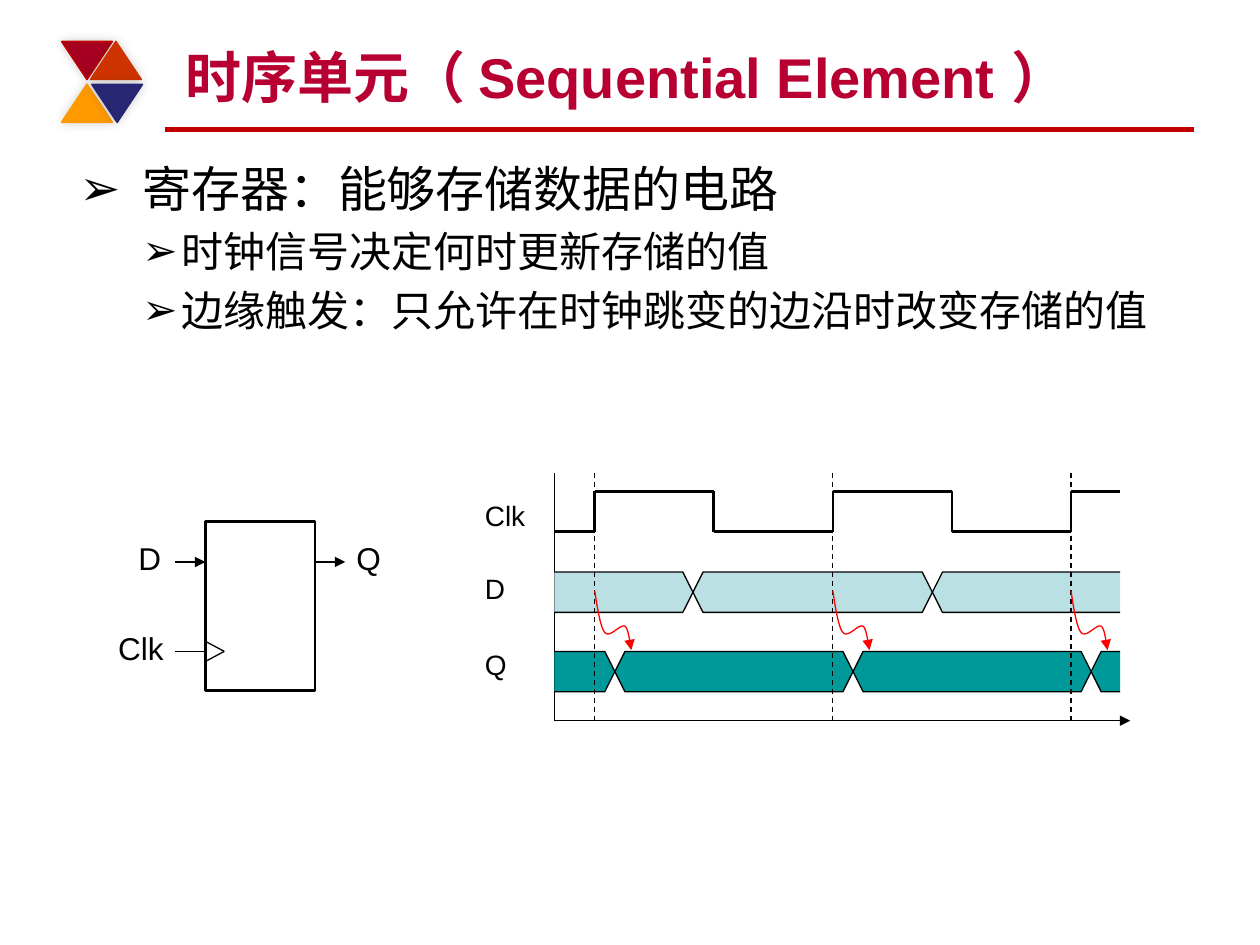
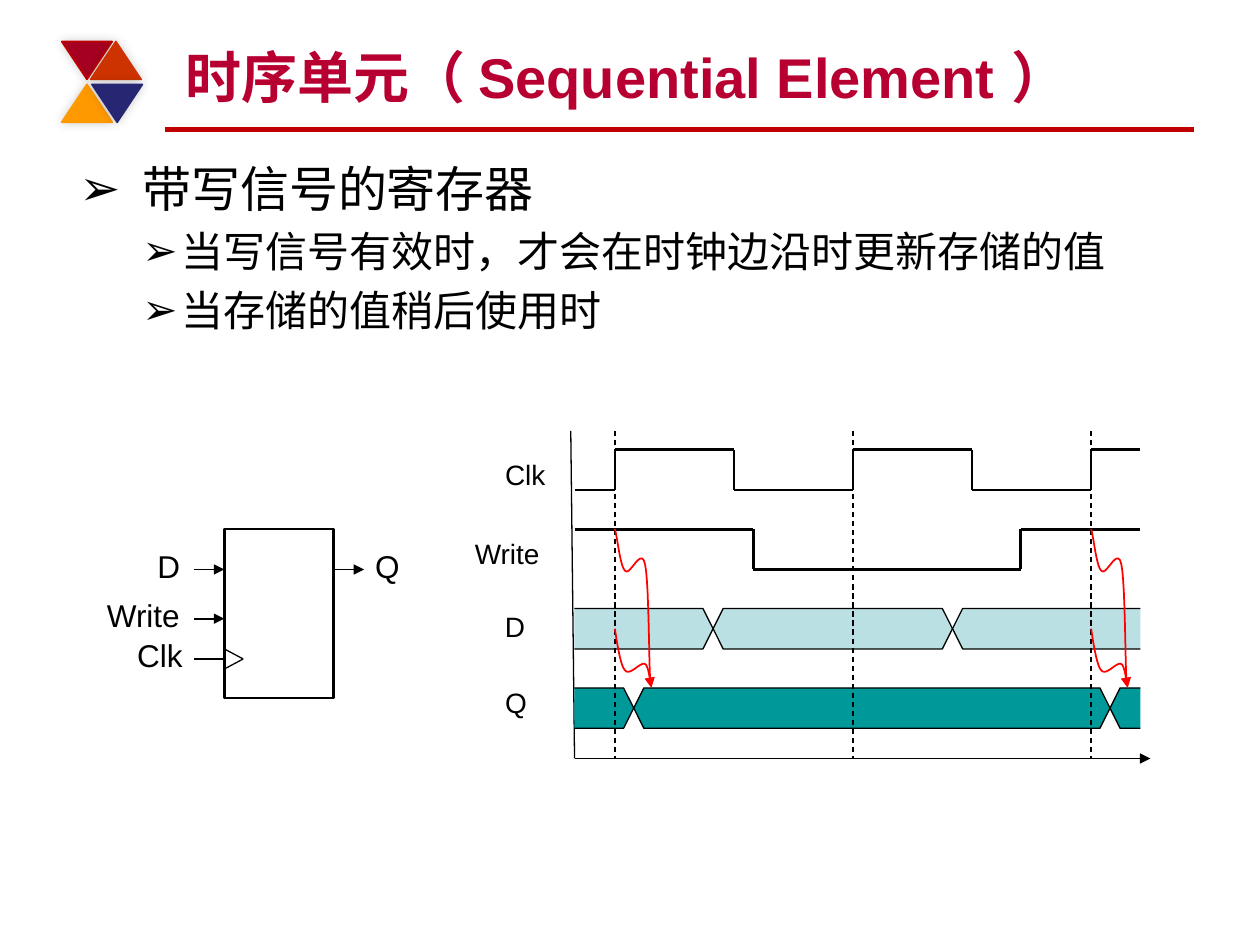
"""Builds two slides on registers, each with a block symbol and a timing diagram."""
from itertools import pairwise

from lxml import etree
from pptx import Presentation
from pptx.dml.color import RGBColor
from pptx.enum.dml import MSO_LINE
from pptx.enum.shapes import MSO_CONNECTOR, MSO_SHAPE
from pptx.enum.text import MSO_ANCHOR, PP_ALIGN
from pptx.oxml.ns import qn
from pptx.util import Emu, Inches, Pt

STRAIGHT = MSO_CONNECTOR.STRAIGHT
TRIANGLE, RECTANGLE = MSO_SHAPE.ISOSCELES_TRIANGLE, MSO_SHAPE.RECTANGLE
DASH = MSO_LINE.DASH
LEFT, BOTTOM = PP_ALIGN.LEFT, MSO_ANCHOR.BOTTOM

FONT = "Arial"
TITLE = "时序单元（ Sequential Element ）"
COLORS = {
    "ink": "000000", "title": "B70031", "rule": "C00000", "cause": "FF0000",
    "input": "BBE0E3", "output": "009999",
    "crimson": "A50021", "orange": "CC3300", "amber": "FF9900", "navy": "262673",
}
ORNAMENT = [
    (0.49, 0.33, 180, "crimson", "rule"),
    (0.72, 0.33, 0, "orange", "orange"),
    (0.49, 0.67, 0, "amber", "amber"),
    (0.73, 0.67, 180, "navy", "navy"),
]
HALF_PERIOD = 0.945
FIRST_EDGE = 0.32
SPAN = 4.49
LEVEL_HEIGHT = 0.32
SLANT = 0.08
SHORT_CAUSE = [(0, 0), (0.01, 0.06), (0.04, 0.29), (0.08, 0.33), (0.12, 0.38),
               (0.2, 0.26), (0.24, 0.28), (0.27, 0.3), (0.28, 0.43), (0.29, 0.47)]
LONG_CAUSE = [(0, 0), (0.02, 0.06), (0.04, 0.29), (0.08, 0.33), (0.12, 0.38),
              (0.21, 0.13), (0.24, 0.28), (0.27, 0.42), (0.27, 1.01), (0.28, 1.2)]
PIN_LABELS = {"D": (-0.63, 0.38), "Write": (-1.03, 0.78),
              "Clk": (-0.79, 0.56), "Q": (1.1, 0.4)}
SIGNAL_LABELS = {"Clk": (-0.65, 0.52), "Write": (-0.89, 0.72),
                 "D": (-0.65, 0.36), "Q": (-0.65, 0.38)}


def rgb(color):
    return RGBColor.from_string(COLORS[color])


def set_font(font, size, color="ink", bold=False):
    font.name, font.size, font.bold = FONT, Pt(size), bold
    font.color.rgb = rgb(color)


def set_outline(shape, color, width, arrow=False):
    shape.line.color.rgb = rgb(color)
    shape.line.width = Pt(width)
    if arrow:
        line = shape.line._get_or_add_ln()
        etree.SubElement(line, qn("a:tailEnd"), type="triangle")


def add_line(slide, start, end, width=0.75, color="ink", arrow=False, dashed=False):
    line = slide.shapes.add_connector(STRAIGHT, *map(Inches, (*start, *end)))
    if dashed:
        line.line.dash_style = DASH
    set_outline(line, color, width, arrow)
    etree.SubElement(line._element.spPr, qn("a:effectLst"))


def add_polyline(slide, points, width):
    for start, end in pairwise(points):
        add_line(slide, start, end, width)


def add_outline(slide, points, fill=None, close=False):
    corners = [(Inches(x), Inches(y)) for x, y in points]
    builder = slide.shapes.build_freeform(*corners[0], scale=1.0)
    builder.add_line_segments(corners[1:], close=close)
    outline = builder.convert_to_shape(Emu(0), Emu(0))
    outline.shadow.inherit = False
    if fill:
        outline.fill.solid()
        outline.fill.fore_color.rgb = rgb(fill)
    else:
        outline.fill.background()
    return outline


def add_label(slide, text, left, top, width, size):
    height = 0.4 if size == 18 else 0.37
    label = slide.shapes.add_textbox(*map(Inches, (left, top, width, height)))
    label.text_frame.word_wrap = False
    paragraph = label.text_frame.paragraphs[0]
    paragraph.text = text
    set_font(paragraph.font, size)


def add_ornament(slide):
    for left, top, rotation, fill, edge in ORNAMENT:
        triangle = slide.shapes.add_shape(
            TRIANGLE, *map(Inches, (left, top, 0.4, 0.3)))
        triangle.rotation = rotation
        triangle.fill.solid()
        triangle.fill.fore_color.rgb = rgb(fill)
        set_outline(triangle, edge, 1)
        triangle.shadow.inherit = False
        effects = triangle._element.spPr.find(qn("a:effectLst"))
        shadow = etree.SubElement(effects, qn("a:outerShdw"), blurRad="76200",
                                  dist="0", dir="18900000")
        shade = etree.SubElement(shadow, qn("a:srgbClr"), val=COLORS["ink"])
        etree.SubElement(shade, qn("a:alpha"), val="20000")


def place(placeholder, left, top, width, height):
    placeholder.left, placeholder.top = Inches(left), Inches(top)
    placeholder.width, placeholder.height = Inches(width), Inches(height)


def fill_body(body, lines):
    place(body, 0.53, 1.21, 8.95, 5.96)
    frame = body.text_frame
    for index, text in enumerate(lines):
        paragraph = frame.paragraphs[0] if index == 0 else frame.add_paragraph()
        paragraph.text = text
        paragraph.level = min(index, 1)
        margin, hanging, size = (0.81, 0.31, 24) if index else (0.5, 0.5, 28)
        properties = paragraph._p.get_or_add_pPr()
        properties.set("marL", str(Inches(margin)))
        properties.set("indent", str(-Inches(hanging)))
        etree.SubElement(properties, qn("a:buFont"), typeface=FONT)
        etree.SubElement(properties, qn("a:buChar"), char="➢")
        paragraph.space_before = Pt(4.8 if index else 0)
        set_font(paragraph.font, size)


def add_topic_slide(deck, lines):
    slide = deck.slides.add_slide(deck.slide_layouts[1])
    add_line(slide, (1.31, 1.03), (9.48, 1.03), 3, "rule")
    add_ornament(slide)
    title = slide.shapes.title
    place(title, 1.37, 0.25, 8, 0.67)
    title.text_frame.text = TITLE
    title.text_frame.vertical_anchor = BOTTOM
    heading = title.text_frame.paragraphs[0]
    heading.alignment = LEFT
    set_font(heading.font, 32, "title", bold=True)
    fill_body(slide.placeholders[1], lines)
    return slide


def add_register(slide, left, top, inputs):
    """Draws the block with its data pins, its clock pin and its output."""
    width, lead = 0.87, 0.24
    block = slide.shapes.add_shape(
        RECTANGLE, *map(Inches, (left, top, width, 1.34)))
    block.shadow.inherit = False
    block.fill.background()
    set_outline(block, "ink", 1.5)
    pins = {**inputs, "Clk": 1.03, "Q": 0.32}
    for name, offset in pins.items():
        y = top + offset
        start = left + width if name == "Q" else left - lead
        is_clock = name == "Clk"
        add_line(slide, (start, y), (start + lead, y),
                 0.75 if is_clock else 1, arrow=not is_clock)
        shift, label_width = PIN_LABELS[name]
        add_label(slide, name, left + shift, y - 0.23, label_width, 18)
    clock = top + pins["Clk"]
    add_polyline(slide, [(left, clock - 0.08), (left + 0.15, clock),
                         (left, clock + 0.08)], 0.75)


def clock_edges(left):
    return [left + FIRST_EDGE + 2 * HALF_PERIOD * cycle for cycle in range(3)]


def add_square_wave(slide, left, top, toggles, high):
    """Draws a two-level signal that changes at each of the toggles."""
    levels = {True: top, False: top + LEVEL_HEIGHT}
    points = [(left, levels[high])]
    for x in toggles:
        points += [(x, levels[high]), (x, levels[not high])]
        high = not high
    add_polyline(slide, points + [(left + SPAN, levels[high])], 1.5)


def add_data_band(slide, left, top, crossings, fill):
    """Draws a bus that is open at both ends and pinched at each crossing."""
    middle, bottom = top + LEVEL_HEIGHT / 2, top + LEVEL_HEIGHT
    bounds = [left, *(left + offset for offset in crossings), left + SPAN]
    last = len(bounds) - 2
    for index, (start, end) in enumerate(pairwise(bounds)):
        if index == 0:
            points = [(start, top), (end - SLANT, top), (end, middle),
                      (end - SLANT, bottom), (start, bottom)]
        elif index == last:
            points = [(end, top), (start + SLANT, top), (start, middle),
                      (start + SLANT, bottom), (end, bottom)]
        else:
            points = [(start, middle), (start + SLANT, top), (end - SLANT, top),
                      (end, middle), (end - SLANT, bottom), (start + SLANT, bottom)]
        band = add_outline(slide, points, fill, close=0 < index < last)
        set_outline(band, "ink", 0.75)


def bezier_points(controls, steps=10):
    points = [controls[0]]
    for first in range(0, len(controls) - 1, 3):
        a, b, c, d = controls[first:first + 4]
        for step in range(1, steps + 1):
            t = step / steps
            u = 1 - t
            points.append(tuple(
                u**3 * a[i] + 3 * u * u * t * b[i] + 3 * u * t * t * c[i] + t**3 * d[i]
                for i in (0, 1)))
    return points


def add_cause(slide, x, y, controls, width, arrow=True):
    points = [(x + dx, y + dy) for dx, dy in bezier_points(controls)]
    set_outline(add_outline(slide, points), "cause", width, arrow)


def add_timing(slide, left, top, bottom, axis_top_x, label_tops, data_top,
               output_top, output_crossings):
    """Draws the axes, labels, clock, data bands and clock edge guides."""
    add_line(slide, (left, bottom), (left + 4.57, bottom), arrow=True)
    add_line(slide, (left, bottom), (axis_top_x, top))
    for name, label_top in label_tops.items():
        shift, width = SIGNAL_LABELS[name]
        add_label(slide, name, left + shift, label_top, width, 16)
    toggles = [left + FIRST_EDGE + HALF_PERIOD * n for n in range(5)]
    add_square_wave(slide, left, top + 0.15, toggles, high=False)
    add_data_band(slide, left, data_top, [1.1, 3], "input")
    add_data_band(slide, left, output_top, output_crossings, "output")
    for x in clock_edges(left):
        add_line(slide, (x, top), (x, bottom), dashed=True)


def add_plain_register_slide(deck):
    slide = add_topic_slide(deck, [
        "寄存器：能够存储数据的电路",
        "时钟信号决定何时更新存储的值",
        "边缘触发：只允许在时钟跳变的边沿时改变存储的值",
    ])
    add_register(slide, 1.63, 4.14, {"D": 0.32})
    left, data_top = 4.4, 4.54
    add_timing(slide, left, 3.75, 5.72, left, {"Clk": 3.91, "D": 4.49, "Q": 5.09},
               data_top, 5.17, [0.48, 2.37, 4.26])
    for x in clock_edges(left):
        add_cause(slide, x, data_top + 0.15, SHORT_CAUSE, 0.75)


def add_write_register_slide(deck):
    slide = add_topic_slide(deck, [
        "带写信号的寄存器",
        "当写信号有效时，才会在时钟边沿时更新存储的值",
        "当存储的值稍后使用时",
    ])
    add_register(slide, 1.78, 4.2, {"D": 0.32, "Write": 0.71})
    left, write_top, data_top = 4.56, 4.2, 4.83
    add_timing(slide, left, 3.42, 6.02, 4.53,
               {"Clk": 3.58, "Write": 4.21, "D": 4.79, "Q": 5.39},
               data_top, 5.46, [0.47, 4.25])
    add_square_wave(slide, left, write_top, [left + 1.42, left + 3.54], high=True)
    for x in clock_edges(left)[::2]:
        add_cause(slide, x, data_top + 0.16, SHORT_CAUSE, 1)
        add_cause(slide, x, write_top, LONG_CAUSE, 1, arrow=False)


def main():
    deck = Presentation()
    deck.slide_width, deck.slide_height = Inches(10), Inches(7.5)
    add_plain_register_slide(deck)
    add_write_register_slide(deck)
    deck.save("out.pptx")


if __name__ == "__main__":
    main()
